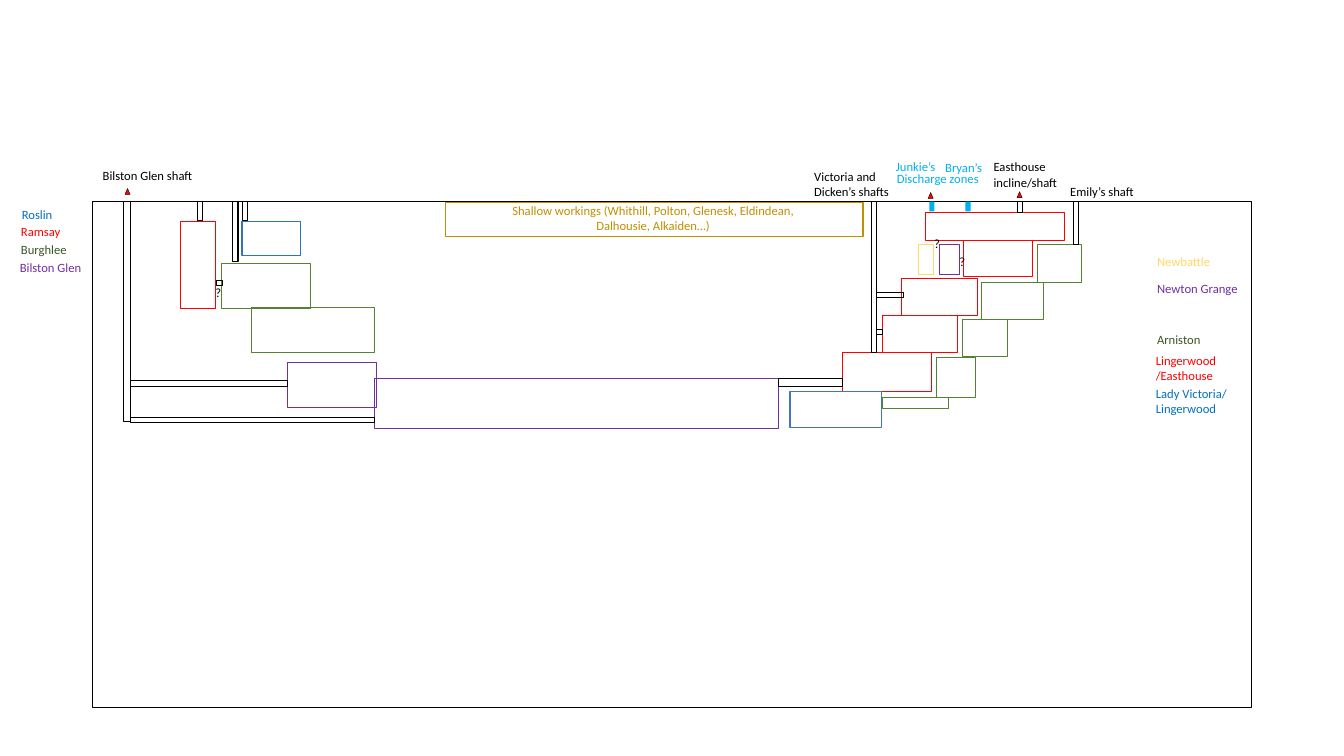
from pptx import Presentation
from pptx.dml.color import RGBColor
from pptx.enum.shapes import MSO_SHAPE
from pptx.enum.text import PP_ALIGN
from pptx.util import Cm, Pt

RECT = MSO_SHAPE.RECTANGLE
PEAK = MSO_SHAPE.ISOSCELES_TRIANGLE
LEFT, MID = PP_ALIGN.LEFT, PP_ALIGN.CENTER

BLACK = RGBColor(0, 0, 0)
RED = RGBColor(0xFF, 0, 0)
GREEN = RGBColor(0x54, 0x82, 0x35)
MOSS = RGBColor(0x38, 0x57, 0x23)
PURPLE = RGBColor(0x70, 0x30, 0xA0)
STEEL = RGBColor(0x2E, 0x75, 0xB6)
ROYAL = RGBColor(0x44, 0x72, 0xC4)
BLUE = RGBColor(0, 0x70, 0xC0)
SKY = RGBColor(0, 0xB0, 0xF0)
GOLD = RGBColor(0xBF, 0x90, 0)
STRAW = RGBColor(0xFF, 0xD9, 0x66)

GROUND = 5.08
THIN = 0.13

FRAME = (2.34, GROUND, 29.21, 12.75)

SEAMS = [
    (RED, [
        (4.55, 5.59, 0.89, 2.18), (21.23, 8.89, 2.24, 0.97),
        (22.25, 7.95, 1.88, 0.94), (22.73, 7.01, 1.9, 0.94),
        (24.28, 6.07, 1.75, 0.91), (23.32, 5.36, 3.51, 0.71),
    ]),
    (STEEL, [(6.1, 5.59, 1.47, 0.84)]),
    (ROYAL, [(19.91, 9.86, 2.31, 0.91)]),
    (GREEN, [
        (5.59, 6.63, 2.24, 1.14), (6.35, 7.75, 3.1, 1.14),
        (22.25, 10.01, 1.65, 0.28), (23.6, 9.02, 0.99, 0.99),
        (24.26, 8.05, 1.12, 0.94), (24.74, 7.11, 1.57, 0.94),
        (26.14, 6.17, 1.12, 0.94),
    ]),
    (PURPLE, [
        (9.45, 9.55, 10.16, 1.24), (7.24, 9.14, 2.24, 1.14),
        (23.67, 6.17, 0.51, 0.76),
    ]),
    (GOLD, [(11.23, 5.11, 10.52, 0.84)]),
    (STRAW, [(23.14, 6.15, 0.38, 0.76)]),
]

SHAFTS = [
    (3.12, 0.18, 5.54), (4.98, THIN, 0.48), (5.87, THIN, 1.52),
    (6.12, THIN, 0.48), (21.97, THIN, 3.81), (25.65, THIN, 0.28),
    (27.05, THIN, 1.09),
]

ROADS = [
    (3.28, 9.6, 3.96, THIN), (3.28, 10.52, 6.17, THIN),
    (5.46, 7.06, 0.15, THIN), (19.63, 9.55, 1.6, 0.18),
    (22.1, 7.37, 0.66, THIN), (22.1, 8.31, 0.15, THIN),
]

SPRINGS = [23.42, 24.33]
PEAKS = [(3.15, 4.75), (23.39, 4.85), (25.63, 4.83)]

LABELS = [
    ("Roslin", BLUE, 0.3, 5.08, 1.3),
    ("Ramsay", RED, 0.28, 5.51, 1.52),
    ("Burghlee", MOSS, 0.28, 5.97, 1.68),
    ("Bilston Glen", PURPLE, 0.25, 6.43, 2.08),
    ("Bilston Glen shaft", BLACK, 2.34, 4.11, 2.79),
    ("?", BLACK, 5.18, 7.06, 0.66),
    ("?", BLACK, 23.29, 5.82, 0.66),
    ("?", BLACK, 23.93, 6.27, 0.66),
    ("Discharge zones", SKY, 22.35, 4.19, 2.62),
    ("Junkie’s", SKY, 22.33, 3.89, 1.55),
    ("Bryan’s", SKY, 23.57, 3.91, 1.47),
    ("Victoria and\nDicken’s shafts", BLACK, 20.27, 4.14, 2.44),
    ("Easthouse\nincline/shaft", BLACK, 24.79, 3.89, 2.16),
    ("Emily’s shaft", BLACK, 26.72, 4.52, 2.16),
    ("Newbattle", STRAW, 28.91, 6.27, 1.88),
    ("Newton Grange", PURPLE, 28.91, 6.96, 2.57),
    ("Arniston", MOSS, 28.91, 8.23, 1.63),
    ("Lady Victoria/\nLingerwood", BLUE, 28.88, 9.6, 2.31),
]

NOTES = [
    ("Shallow workings (Whithill, Polton, Glenesk, Eldindean, "
     "Dalhousie, Alkaiden…)", GOLD, 12.57, 4.98, 7.77, 1.02, MID),
    ("Lingerwood/Easthouse", RED, 28.88, 8.76, 2.06, 1.42, LEFT),
]

deck = Presentation()
deck.slide_width, deck.slide_height = Cm(33.87), Cm(19.05)
slide = deck.slides.add_slide(deck.slide_layouts[6])


def draw(box, line=None, fill=None, kind=RECT, weight=0.75):
    shape = slide.shapes.add_shape(kind, *map(Cm, box))
    shape.shadow.inherit = False
    if fill is None:
        shape.fill.background()
    else:
        shape.fill.solid()
        shape.fill.fore_color.rgb = fill
    if line is None:
        shape.line.fill.background()
    else:
        shape.line.color.rgb = line
        shape.line.width = Pt(weight)


def write(text, color, box, wrap=False, align=LEFT):
    frame = slide.shapes.add_textbox(*map(Cm, box)).text_frame
    frame.word_wrap = wrap
    frame.text = text
    for para in frame.paragraphs:
        para.alignment = align
        for run in para.runs:
            run.font.name = "Calibri"
            run.font.size = Pt(9)
            run.font.color.rgb = color


draw(FRAME, BLACK)
for color, boxes in SEAMS:
    for box in boxes:
        draw(box, color)
for left, width, depth in SHAFTS:
    draw((left, GROUND, width, depth), BLACK)
for box in ROADS:
    draw(box, BLACK)
for left in SPRINGS:
    draw((left, GROUND, THIN, 0.25), fill=SKY)
for left, top in PEAKS:
    draw((left, top, THIN, 0.15), BLACK, RED, PEAK, 0.25)

for text, color, left, top, width in LABELS:
    high = 0.64 + 0.38 * text.count("\n")
    write(text, color, (left, top, width, high))
for text, color, left, top, width, high, align in NOTES:
    write(text, color, (left, top, width, high), True, align)

deck.save("out.pptx")
